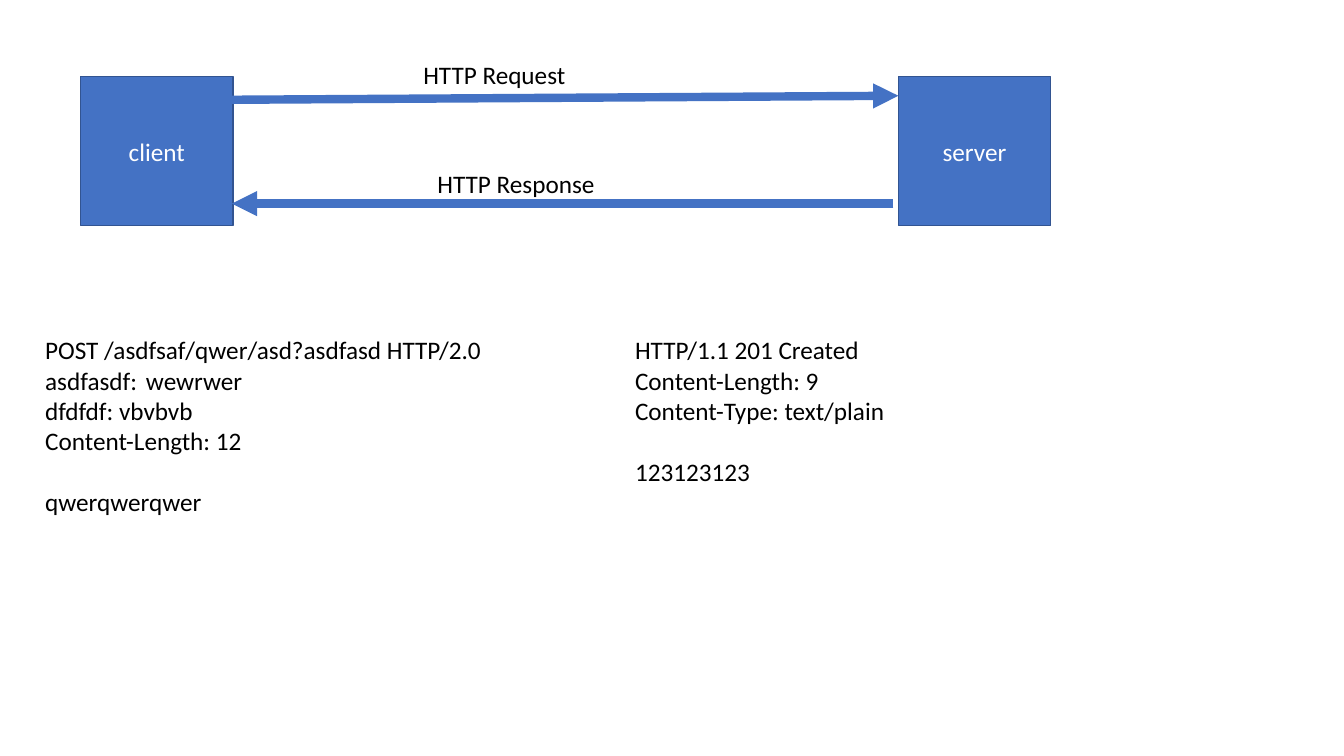
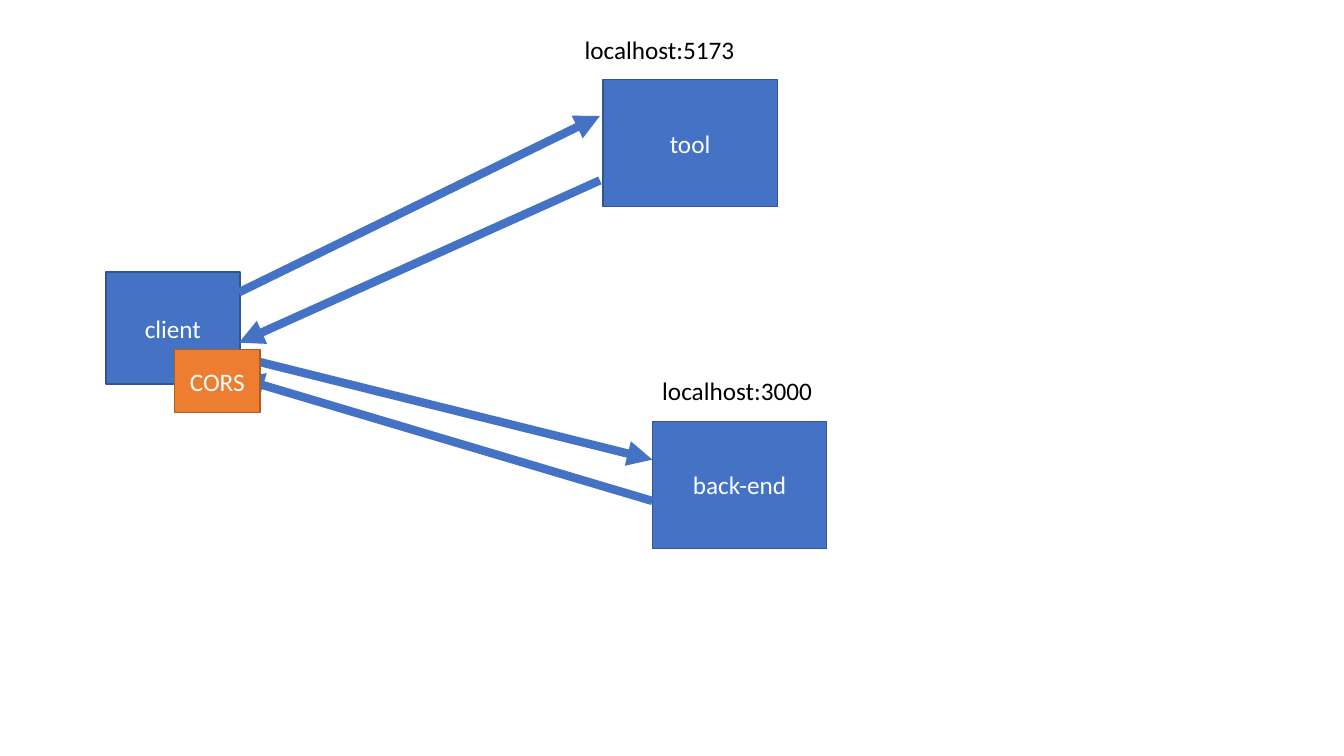
from dataclasses import dataclass

from lxml.etree import SubElement
from pptx import Presentation
from pptx.dml.color import RGBColor
from pptx.enum.shapes import MSO_CONNECTOR as Connector, MSO_SHAPE as Preset
from pptx.enum.text import MSO_ANCHOR as Anchor, MSO_AUTO_SIZE as AutoSize, PP_ALIGN as Align
from pptx.oxml.ns import qn
from pptx.slide import Slide
from pptx.text.text import _Paragraph as Paragraph
from pptx.util import Inches, Pt


@dataclass(frozen=True)
class Tone:
    """Fill and outline of a box."""
    fill: RGBColor
    outline: RGBColor


@dataclass(frozen=True)
class Theme:
    """Colours, font and sizes shared by the slides."""
    blue: Tone = Tone(RGBColor(0x44, 0x72, 0xC4), RGBColor(0x32, 0x54, 0x91))
    orange: Tone = Tone(RGBColor(0xED, 0x7D, 0x31), RGBColor(0xAF, 0x5C, 0x24))
    text: RGBColor = RGBColor(0, 0, 0)
    box_text: RGBColor = RGBColor(0xFF, 0xFF, 0xFF)
    font: str = "Calibri"
    size: Pt = Pt(18)
    section_gap: Pt = Pt(22)
    outline_width: Pt = Pt(1)
    arrow_width: Pt = Pt(6)


THEME = Theme()


@dataclass(frozen=True)
class Box:
    """A named participant; lengths in inches."""
    name: str
    left: float
    top: float
    width: float
    height: float
    tone: Tone = THEME.blue


@dataclass(frozen=True)
class Arrow:
    """An arrow from start to end, both (x, y) in inches."""
    start: tuple[float, float]
    end: tuple[float, float]


@dataclass(frozen=True)
class Note:
    """Lines of text, with an optional body set apart below them."""
    lines: tuple[str, ...]
    left: float
    top: float
    width: float
    height: float = 0.4
    body: str = ""


@dataclass(frozen=True)
class Diagram:
    """Everything on one slide, from back to front."""
    boxes: tuple[Box, ...]
    arrows: tuple[Arrow, ...]
    notes: tuple[Note, ...]
    front_boxes: tuple[Box, ...] = ()


def write(paragraph: Paragraph, text: str, color: RGBColor) -> None:
    """Put text in a paragraph in the shared type style."""
    paragraph.add_run().text = text
    paragraph.font.name = THEME.font
    paragraph.font.size = THEME.size
    paragraph.font.color.rgb = color


def draw_box(slide: Slide, box: Box) -> None:
    """Draw a rectangle with its name in the centre."""
    shape = slide.shapes.add_shape(
        Preset.RECTANGLE, Inches(box.left), Inches(box.top), Inches(box.width), Inches(box.height))
    shape.shadow.inherit = False
    shape.fill.solid()
    shape.fill.fore_color.rgb = box.tone.fill
    shape.line.color.rgb = box.tone.outline
    shape.line.width = THEME.outline_width
    shape.text_frame.vertical_anchor = Anchor.MIDDLE
    paragraph = shape.text_frame.paragraphs[0]
    paragraph.alignment = Align.CENTER
    write(paragraph, box.name, THEME.box_text)


def draw_arrow(slide: Slide, arrow: Arrow) -> None:
    """Draw a thick line with a triangle at its end."""
    ends = [Inches(length) for length in (*arrow.start, *arrow.end)]
    connector = slide.shapes.add_connector(Connector.STRAIGHT, *ends)
    connector.line.color.rgb = THEME.blue.fill
    connector.line.width = THEME.arrow_width
    properties = connector._element.spPr
    SubElement(properties.find(qn("a:ln")), qn("a:tailEnd"), type="triangle")
    SubElement(properties, qn("a:effectLst"))


def draw_note(slide: Slide, note: Note) -> None:
    """Draw unwrapped text, one paragraph a line."""
    frame = slide.shapes.add_textbox(
        Inches(note.left), Inches(note.top), Inches(note.width), Inches(note.height)).text_frame
    frame.word_wrap = False
    frame.auto_size = AutoSize.SHAPE_TO_FIT_TEXT
    for index, line in enumerate(note.lines):
        paragraph = frame.add_paragraph() if index else frame.paragraphs[0]
        write(paragraph, line, THEME.text)
    if note.body:
        paragraph = frame.add_paragraph()
        paragraph.space_before = THEME.section_gap
        write(paragraph, note.body, THEME.text)


def draw_diagram(slide: Slide, diagram: Diagram) -> None:
    """Draw a whole diagram from back to front."""
    for box in diagram.boxes:
        draw_box(slide, box)
    for arrow in diagram.arrows:
        draw_arrow(slide, arrow)
    for note in diagram.notes:
        draw_note(slide, note)
    for box in diagram.front_boxes:
        draw_box(slide, box)


HTTP_EXCHANGE = Diagram(
    boxes=(
        Box("client", 0.8, 0.76, 1.51, 1.48),
        Box("server", 8.91, 0.76, 1.51, 1.48),
    ),
    arrows=(
        Arrow((2.3, 0.99), (8.91, 0.95)),
        Arrow((8.86, 2.02), (2.3, 2.02)),
    ),
    notes=(
        Note(("HTTP Request",), 4.1, 0.54, 1.63),
        Note(("HTTP Response",), 4.24, 1.62, 1.78),
        Note(("POST /asdfsaf/qwer/asd?asdfasd HTTP/2.0", "asdfasdf: \twewrwer",
              "dfdfdf: vbvbvb", "Content-Length: 12"),
             0.35, 3.27, 4.57, 1.92, body="qwerqwerqwer"),
        Note(("HTTP/1.1 201 Created", "Content-Length: 9", "Content-Type: text/plain"),
             6.2, 3.27, 2.71, 1.62, body="123123123"),
    ),
)

CORS_CHECK = Diagram(
    boxes=(
        Box("client", 1.05, 2.7, 1.33, 1.11),
        Box("tool", 5.98, 0.79, 1.73, 1.26),
        Box("back-end", 6.47, 4.18, 1.73, 1.26),
    ),
    arrows=(
        Arrow((2.37, 2.9), (5.95, 1.15)),
        Arrow((5.95, 1.79), (2.37, 3.4)),
        Arrow((2.41, 3.55), (6.47, 4.56)),
        Arrow((6.47, 4.97), (2.37, 3.75)),
    ),
    notes=(
        Note(("localhost:5173",), 5.7, 0.29, 1.7),
        Note(("localhost:3000",), 6.47, 3.67, 1.7),
    ),
    front_boxes=(Box("CORS", 1.73, 3.47, 0.85, 0.62, THEME.orange),),
)


def main() -> None:
    """Build and save the presentation."""
    presentation = Presentation()
    presentation.slide_width = Inches(13.33)
    presentation.slide_height = Inches(7.5)
    blank = presentation.slide_layouts[6]
    for diagram in (HTTP_EXCHANGE, CORS_CHECK):
        draw_diagram(presentation.slides.add_slide(blank), diagram)
    presentation.save("out.pptx")


main()
